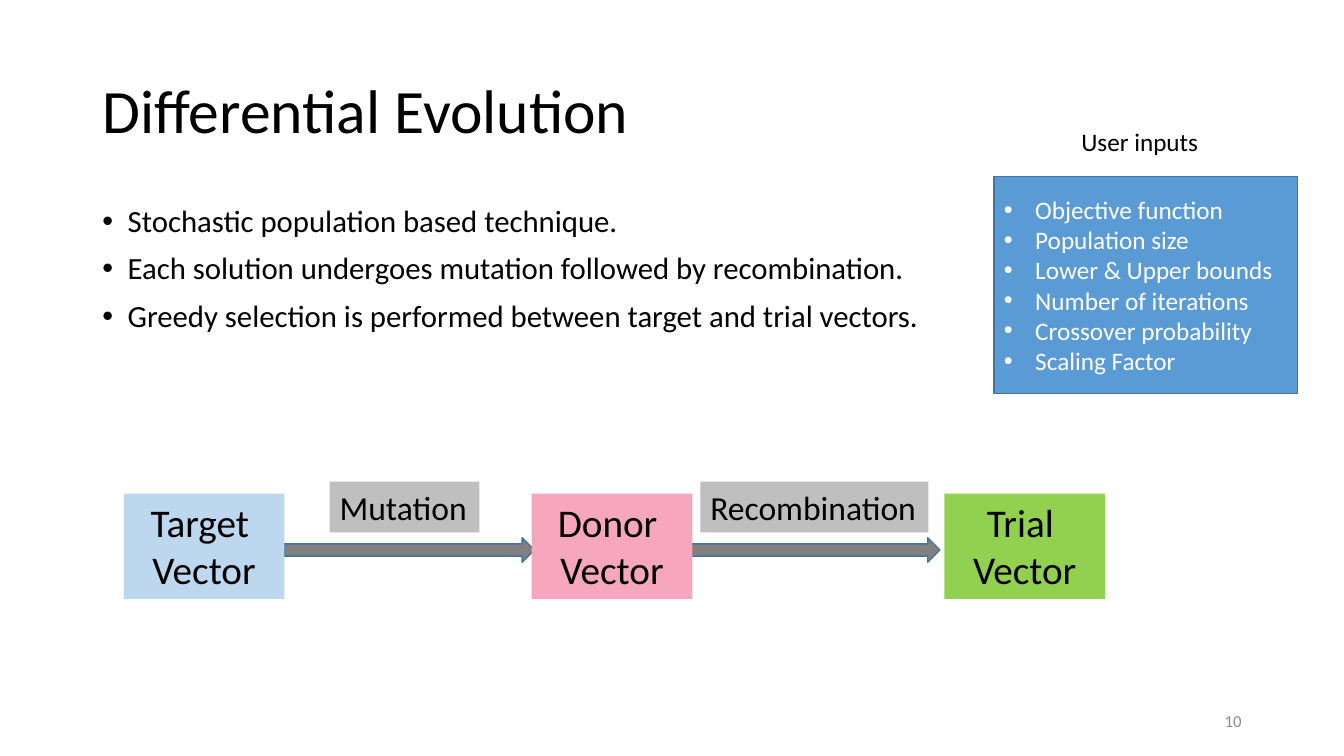
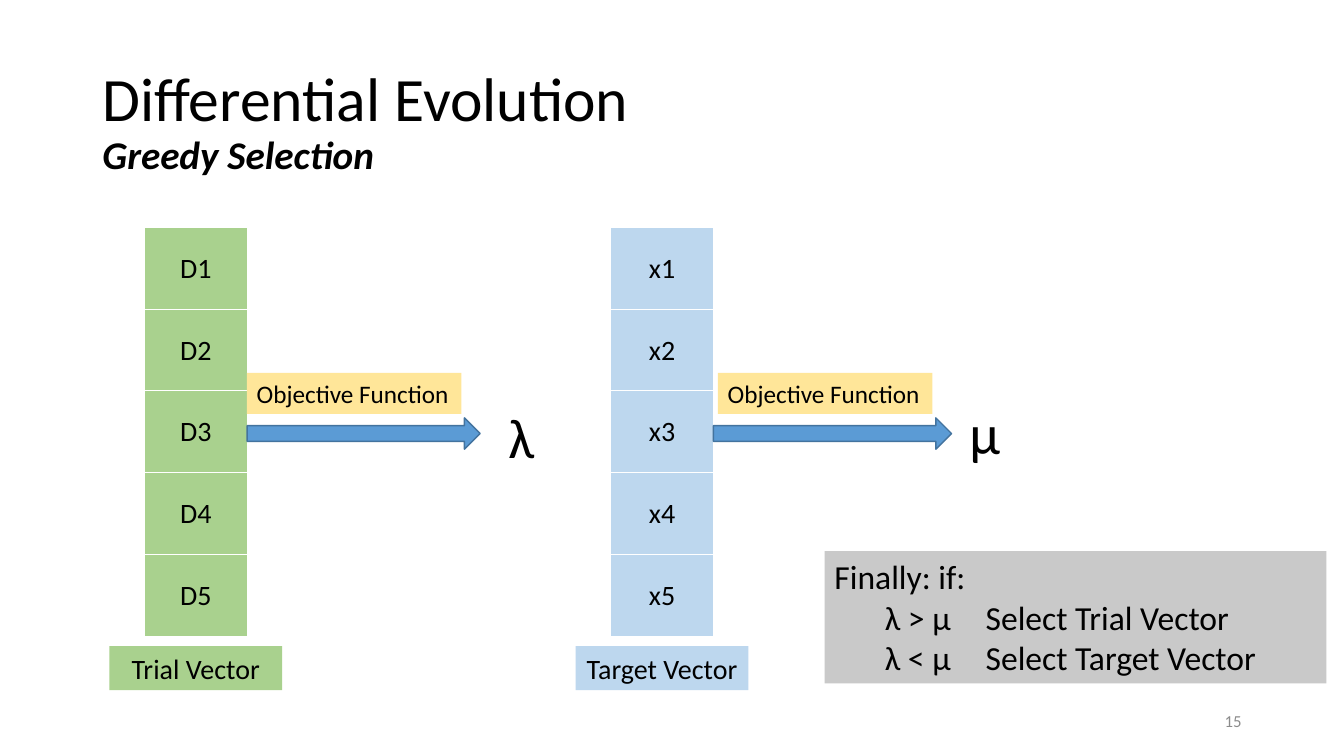
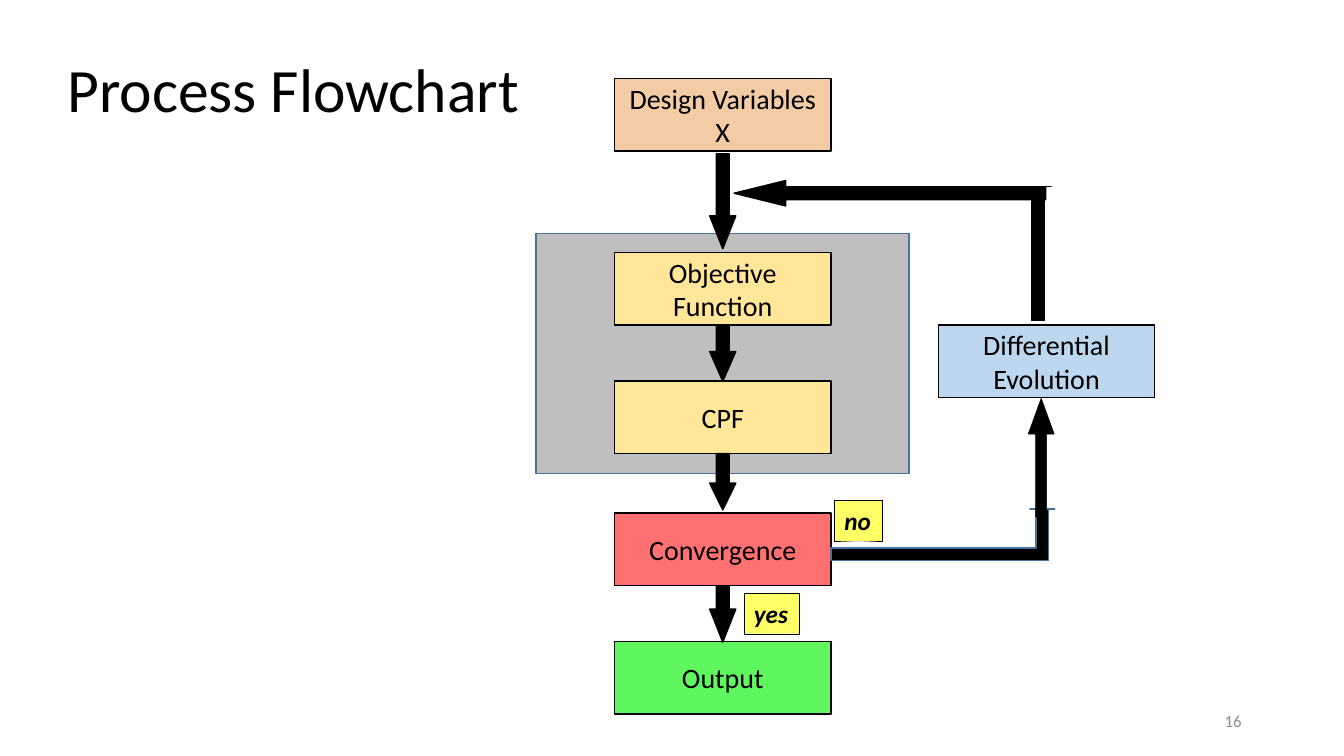
from dataclasses import dataclass

from lxml.etree import SubElement
from pptx import Presentation
from pptx.dml.color import RGBColor
from pptx.enum.shapes import MSO_SHAPE
from pptx.enum.text import MSO_ANCHOR, PP_ALIGN
from pptx.oxml.ns import qn
from pptx.util import Cm, Pt


@dataclass(frozen=True)
class Theme:
    font: str = "Calibri"
    # Colours
    black: str = "000000"
    white: str = "FFFFFF"
    faint: str = "8C8C8C"
    blue: str = "5B9BD5"
    edge: str = "43739E"
    sky: str = "BDD7EE"
    grass: str = "A9D18E"
    lime: str = "92D050"
    pink: str = "F6A6BD"
    cream: str = "FFE699"
    peach: str = "F3CCA5"
    red: str = "FF7171"
    green: str = "60F660"
    yellow: str = "FFFF66"
    dark: str = "808080"
    grey: str = "BFBFBF"
    pale: str = "C9C9C9"
    # Type sizes
    title: int = 44
    sign: int = 40
    head: int = 28
    large: int = 24
    body: int = 22
    label: int = 20
    small: int = 18
    foot: int = 12


T = Theme()
LEFT, MID, RIGHT = PP_ALIGN.LEFT, PP_ALIGN.CENTER, PP_ALIGN.RIGHT
TOP, CENTRE = MSO_ANCHOR.TOP, MSO_ANCHOR.MIDDLE


# Text
def write(frame, words, size=T.small, color=T.black, strong=False, align=LEFT,
          anchor=TOP, wrap=True, pitch=None, gap=0, hang=0, tabs=()):
    frame.word_wrap = wrap
    frame.vertical_anchor = anchor
    for n, line in enumerate(words.split("\n")):
        para = frame.add_paragraph() if n else frame.paragraphs[0]
        props = para._p.get_or_add_pPr()
        if hang:
            props.set("marL", str(Cm(hang)))
            props.set("indent", str(-Cm(hang)))
            SubElement(props, qn("a:buFont"), typeface="Arial")
            SubElement(props, qn("a:buChar"), char="•")
        if tabs:
            stops = SubElement(props, qn("a:tabLst"))
            for stop in tabs:
                SubElement(stops, qn("a:tab"), pos=str(Cm(stop)), algn="l")
        para.alignment = align
        if pitch:
            para.line_spacing = pitch
        if gap and n:
            para.space_before = Pt(gap)
        run = para.add_run()
        run.text = line
        font = run.font
        font.name, font.size = T.font, Pt(size)
        font.bold = font.italic = strong
        font.color.rgb = RGBColor.from_string(color)


def note(slide, words, x, y, w, h, **style):
    area = slide.shapes.add_textbox(Cm(x), Cm(y), Cm(w), Cm(h))
    write(area.text_frame, words, **style)


# Shapes
def form(slide, kind, x, y, w, h, fill, line=None, width=1, bends=()):
    shape = slide.shapes.add_shape(kind, Cm(x), Cm(y), Cm(w), Cm(h))
    shape.shadow.inherit = False
    shape.fill.solid()
    shape.fill.fore_color.rgb = RGBColor.from_string(fill)
    if line:
        shape.line.color.rgb = RGBColor.from_string(line)
        shape.line.width = Pt(width)
    else:
        shape.line.fill.background()
    for n, bend in enumerate(bends):
        shape.adjustments[n] = bend
    return shape


def box(slide, words, x, y, w, h, fill, line=None, width=1, **style):
    shape = form(slide, MSO_SHAPE.RECTANGLE, x, y, w, h, fill, line, width)
    write(shape.text_frame, words, **style)


def stack(slide, words, x, y, w, row, fill):
    """One-column table with thin white rules."""
    count = len(words)
    table = slide.shapes.add_table(
        count, 1, Cm(x), Cm(y), Cm(w), Cm(row * count)).table
    table.first_row = table.horz_banding = False
    for n, word in enumerate(words):
        table.rows[n].height = Cm(row)
        cell = table.cell(n, 0)
        cell.margin_left = cell.margin_right = cell.margin_top = Cm(0.03)
        cell.margin_bottom = 0
        props = cell._tc.get_or_add_tcPr()
        for side in ("lnL", "lnR", "lnT", "lnB"):
            rule = SubElement(props, qn("a:" + side), w=str(Pt(1)))
            paint = SubElement(rule, qn("a:solidFill"))
            SubElement(paint, qn("a:srgbClr"), val=T.white)
        cell.fill.solid()
        cell.fill.fore_color.rgb = RGBColor.from_string(fill)
        write(cell.text_frame, word, size=T.label, align=MID)
        cell.vertical_anchor = CENTRE


# Shared slide frame
def start(deck, title, number, x=2.33, y=1.02):
    slide = deck.slides.add_slide(deck.slide_layouts[6])
    note(slide, title, x, y, 29.21, 3.68, size=T.title, anchor=CENTRE,
         pitch=0.9)
    note(slide, str(number), 23.92, 17.66, 7.62, 1.01, size=T.foot,
         color=T.faint, align=RIGHT, anchor=CENTRE)
    return slide


def basics(deck):
    slide = start(deck, "Differential Evolution", 10)
    note(slide, "Stochastic population based technique.\n"
         "Each solution undergoes mutation followed by recombination.\n"
         "Greedy selection is performed between target and trial vectors.",
         2.33, 5.07, 29.21, 12.09, size=T.body, align=PP_ALIGN.JUSTIFY,
         pitch=0.9, gap=10, hang=0.64)

    # Chain of vectors
    first, step, wide = 3.12, 10.34, 4.05
    for n in range(2):
        form(slide, MSO_SHAPE.RIGHT_ARROW, first + wide + n * (step - 0.12),
             13.55, 6.3, 0.62, T.dark, T.edge)
    vectors = (("Target", T.sky), ("Donor", T.pink), ("Trial", T.lime))
    for n, (name, fill) in enumerate(vectors):
        box(slide, name + " \nVector", first + n * step - 0.06 * (n % 2),
            12.44, wide, 2.65, fill, size=T.head, align=MID)
    for name, x, w in (("Mutation", 8.31, 3.77), ("Recombination", 17.65, 5.75)):
        box(slide, name, x, 12.14, w, 1.28, T.grey, size=T.large, wrap=False)

    # User inputs
    note(slide, "User inputs", 27, 3.05, 3.48, 1.03, wrap=False)
    box(slide, "Objective function\nPopulation size\nLower & Upper bounds\n"
        "Number of iterations\nCrossover probability\nScaling Factor",
        25.05, 4.45, 7.65, 5.46, T.blue, T.edge, color=T.white,
        anchor=CENTRE, hang=0.79)


def greedy(deck):
    slide = start(deck, "Differential Evolution", 15, y=0.73)
    note(slide, "Greedy Selection", 2.33, 2.12, 29.21, 3.68, size=T.head,
         strong=True, anchor=CENTRE, pitch=0.9)

    # Each vector, its score and its name
    cases = (
        ("Trial Vector", "D", T.grass, 3.64, 5.87, 6.22, "λ", 12.56, 10.01),
        ("Target Vector", "x", T.sky, 15.39, 6, 18.09, "μ", 24.18, 9.91),
    )
    for name, stem, fill, x, reach, tag, sign, right, top in cases:
        stack(slide, [f"{stem}{n}" for n in range(1, 6)], x, 5.73, 2.59, 2.06,
              fill)
        box(slide, name, x - 0.88, 16.28, 4.35, 1.11, fill, size=T.label,
            align=MID)
        form(slide, MSO_SHAPE.RIGHT_ARROW, x + 2.59, 10.53, reach, 0.79,
             T.blue, T.edge)
        box(slide, "Objective Function", tag, 9.4, 5.41, 1.03, T.cream,
            wrap=False)
        note(slide, sign, right, top, 1.27, 1.96, size=T.sign)

    # Rule of choice
    box(slide, "Finally: if:\n\tλ > μ\tSelect Trial Vector\n"
        "\tλ < μ \tSelect Target Vector", 20.78, 13.89, 12.65, 3.33, T.pale,
        size=T.large, tabs=(1.27, 3.81))


def flow(deck):
    slide = start(deck, "Process Flowchart", 16, x=1.45, y=0.5)
    form(slide, MSO_SHAPE.RECTANGLE, 13.51, 5.88, 9.4, 6.06, T.grey, T.edge)

    # Steps
    left, wide, high = 15.49, 5.45, 1.83
    steps = (
        ("Design Variables\nX", left, 1.98, T.peach),
        ("Objective Function", left, 6.36, T.cream),
        ("CPF", left, 9.6, T.cream),
        ("Convergence", left, 12.93, T.red),
        ("Output", left, 16.16, T.green),
        ("Differential Evolution", 23.65, 8.19, T.sky),
    )
    for name, x, y, fill in steps:
        box(slide, name, x, y, wide, high, fill, T.black, size=T.label,
            align=MID, anchor=CENTRE)

    # Arrows down the column
    thick = 0.66
    downs = ((3.88, 2.39, 1.26), (8.19, 1.42, 1.14),
             (11.43, 1.42, 1.02), (14.76, 1.42, 1.26))
    for y, h, tip in downs:
        form(slide, MSO_SHAPE.DOWN_ARROW, left + (wide - thick) / 2, y, thick,
             h, T.black, T.black, bends=(0.5, tip))

    # Return loop
    form(slide, MSO_SHAPE.BENT_UP_ARROW, 20.94, 12.83, 5.64, 1.3, T.black,
         T.edge, bends=(0.25, 0.24, 0))
    form(slide, MSO_SHAPE.UP_ARROW, 25.83, 4.7, thick, 3.38, T.black, T.black,
         bends=(0.5, 0))
    form(slide, MSO_SHAPE.LEFT_ARROW, 18.5, 4.55, 7.85, 0.64, T.black, T.black,
         bends=(0.5, 2.03))
    form(slide, MSO_SHAPE.UP_ARROW, 25.91, 10.03, thick, 3, T.black, T.black,
         0.25, (0.42, 1.38))

    # Answers
    for word, x, y, w in (("yes", 18.75, 14.94, 1.4), ("no", 21.03, 12.6, 1.2)):
        box(slide, word, x, y, w, 1.03, T.yellow, T.black, 0.25, strong=True,
            wrap=False)


def main():
    deck = Presentation()
    deck.slide_width, deck.slide_height = Cm(33.87), Cm(19.05)
    basics(deck)
    greedy(deck)
    flow(deck)
    deck.save("out.pptx")


if __name__ == "__main__":
    main()
